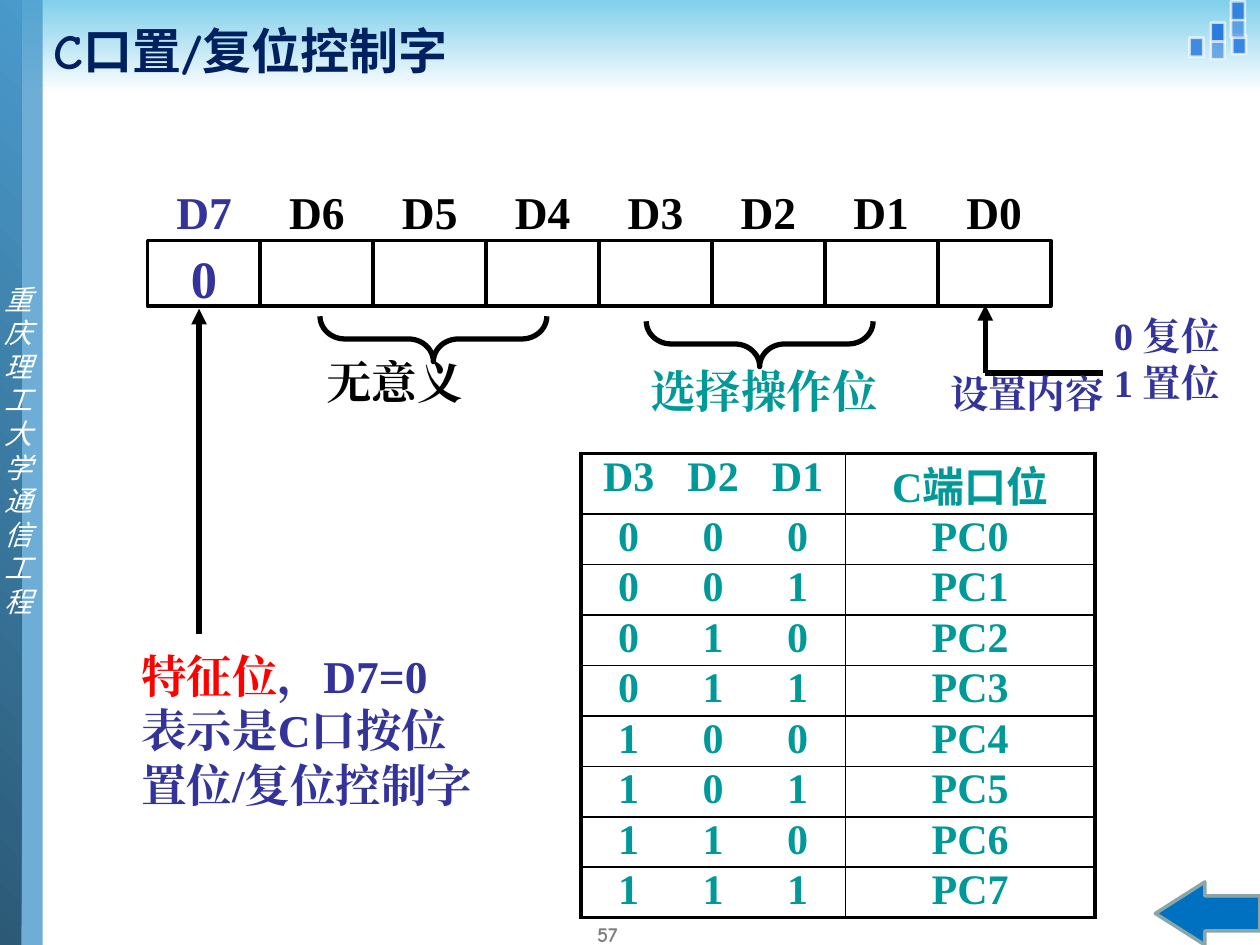
from pptx import Presentation
from pptx import util as u
from pptx.dml.color import RGBColor
from pptx.enum import shapes, text
from pptx.oxml.ns import qn
from lxml import etree

Inches = u.Inches
SERIF = "Times New Roman"
COLORS = {
    "black": "000000", "white": "FFFFFF", "navy": "002060", "indigo": "333399",
    "teal": "009999", "red": "FF0000", "gray": "7F7F7F", "sky": "81CFEB",
    "square": "297CDD", "side": "4A9ACC", "side_dark": "2B5976",
    "arrow": "0070C0", "arrow_line": "8AA6A8",
}
ALIGN = text.PP_ALIGN
SHAPE = shapes.MSO_SHAPE


def rgb(name):
    return RGBColor.from_string(COLORS[name])


def add_xml(parent, tag, **attributes):
    return etree.SubElement(parent, qn(tag), attributes)


def set_alpha(element, percent):
    """Make the colour of a fill or line translucent."""
    color = next(element.iter(qn("a:srgbClr")))
    add_xml(color, "a:alpha", val=str(percent * 1000))


def write(frame, paragraphs, size=26, font=SERIF, color="black", bold=True, italic=False,
          align=None, anchor="TOP", insets=(0, 0, 0, 0), spacing=None, east_asian=True):
    """Fill a frame; each paragraph is a string or a list of (string, color) runs."""
    frame.word_wrap = True
    frame.vertical_anchor = getattr(text.MSO_ANCHOR, anchor)
    (frame.margin_left, frame.margin_top,
     frame.margin_right, frame.margin_bottom) = map(Inches, insets)
    for index, content in enumerate(paragraphs):
        paragraph = frame.add_paragraph() if index else frame.paragraphs[0]
        paragraph.alignment = align
        if spacing:
            paragraph.line_spacing = spacing
        runs = [(content, color)] if isinstance(content, str) else content
        for words, run_color in runs:
            run = paragraph.add_run()
            run.text = words
            run.font.size, run.font.name = u.Pt(size), font
            run.font.bold, run.font.italic = bold, italic
            run.font.color.rgb = rgb(run_color)
            if east_asian:
                add_xml(run.font._element, "a:ea", typeface=font)


def add_text(slide, box, *paragraphs, **style):
    shape = slide.shapes.add_textbox(*map(Inches, box))
    write(shape.text_frame, paragraphs, **style)


def add_shape(slide, kind, box, fill=None, line=None, width=2, adjustments=()):
    shape = slide.shapes.add_shape(kind, *map(Inches, box))
    shape.shadow.inherit = False
    for index, value in enumerate(adjustments):
        shape.adjustments[index] = value
    if fill:
        shape.fill.solid()
        shape.fill.fore_color.rgb = rgb(fill)
    else:
        shape.fill.background()
    if line:
        shape.line.color.rgb = rgb(line)
        shape.line.width = u.Pt(width)
    else:
        shape.line.fill.background()
    return shape


def add_gradient(slide, box, first, last, angle):
    fill = add_shape(slide, SHAPE.RECTANGLE, box).fill
    fill.gradient()
    fill.gradient_angle = angle
    for stop, color, position in zip(fill.gradient_stops, (first, last), (0, 1)):
        stop.color.rgb = rgb(color)
        stop.position = position


def add_line(slide, start, end, arrow=False):
    line = slide.shapes.add_connector(
        shapes.MSO_CONNECTOR.STRAIGHT, *map(Inches, start + end))
    line.line.color.rgb = rgb("black")
    line.line.width = u.Pt(3)
    if arrow:
        add_xml(line.line._get_or_add_ln(), "a:tailEnd", type="triangle")
    add_xml(line._element.spPr, "a:effectLst")


def add_brace(slide, center_x, center_y, depth=0.36, span=1.8):
    brace = add_shape(slide, SHAPE.LEFT_BRACE,
                      (center_x - depth / 2, center_y - span / 2, depth, span),
                      line="black", width=3, adjustments=(0.55, 0.5))
    brace.rotation = 270


def set_borders(cell, widths):
    properties = cell._tc.get_or_add_tcPr()
    for index, (side, width) in enumerate(zip("LRTB", widths)):
        line = etree.Element(qn(f"a:ln{side}"), w=str(u.Pt(width)))
        add_xml(add_xml(line, "a:solidFill"), "a:srgbClr", val=COLORS["black"])
        properties.insert(index, line)


def add_port_table(slide):
    rows = [("D3\tD2\tD1", "C端口位")]
    rows += [("\t".join(f"{port:03b}"), f"PC{port}") for port in range(8)]
    table = slide.shapes.add_table(
        len(rows), 2, *map(Inches, (4.61, 3.6, 4.08, 3.44))).table
    table.first_row = table.horz_banding = False
    for column, width in zip(table.columns, (2.1, 1.98)):
        column.width = Inches(width)
    for r, row in enumerate(rows):
        table.rows[r].height = Inches(0.37 if r else 0.48)
        for c, words in enumerate(row):
            cell = table.cell(r, c)
            cell.fill.background()
            cell.margin_left = cell.margin_right = cell.margin_top = cell.margin_bottom = 0
            outer = (c == 0, c == 1, r == 0, r == len(rows) - 1)
            set_borders(cell, [2.25 if edge else 1 for edge in outer])
            if c == 0:
                # Centred tab stops line up the three bits
                words = "\t" + words
                tabs = add_xml(cell.text_frame.paragraphs[0]._p.get_or_add_pPr(), "a:tabLst")
                for position in (0.38, 1.05, 1.72):
                    add_xml(tabs, "a:tab", pos=str(Inches(position)), algn="ctr")
            write(cell.text_frame, [words], size=24, color="teal", east_asian=False,
                  align=ALIGN.CENTER if c else ALIGN.LEFT)


def add_background(slide):
    add_gradient(slide, (0, 0, 10, 0.75), "sky", "white", 270)
    squares = [(9.78, 0.28, 90), (9.61, 0.32, 60), (9.44, 0.3, 85),
               (9.61, 0.18, 100), (9.77, 0.15, 60), (9.77, 0.01, 90)]
    for left, top, opacity in squares:
        square = add_shape(slide, SHAPE.RECTANGLE, (left, top, 0.11, 0.15),
                           "square", "white", 1.5)
        set_alpha(square.fill._xPr.find(qn("a:solidFill")), opacity)
        set_alpha(square.line._get_or_add_ln(), 70)
    band = add_shape(slide, SHAPE.RECTANGLE, (0.11, 0, 0.23, 7.5), "side")
    set_alpha(band.fill._xPr.find(qn("a:solidFill")), 80)
    add_gradient(slide, (-0.01, 0, 0.18, 7.53), "side_dark", "side", 45)
    margins = (0.1, 0.05, 0.1, 0.05)
    add_text(slide, (-0.06, 2.19, 0.53, 2.79), "重庆理工大学通信工程", size=16, font="Arial",
             color="white", bold=False, italic=True, insets=margins)
    add_text(slide, (4.33, 7.33, 0.67, 0.17), "57", size=12, font="Comic Neue", color="gray",
             align=ALIGN.RIGHT, anchor="MIDDLE", insets=margins)
    add_text(slide, (0.33, 0.11, 8.43, 0.57), "C口置/复位控制字", size=28, font="Comic Neue",
             color="navy", anchor="MIDDLE", insets=margins)


def add_register(slide):
    for index in range(8):
        left = 1.17 + index * 6.27 / 7
        color = "black" if index else "indigo"
        cell = add_shape(slide, SHAPE.RECTANGLE, (left, 1.91, 0.9, 0.52), line="black")
        if index == 0:
            write(cell.text_frame, ["0"], size=30, color=color, align=ALIGN.CENTER,
                  insets=(0, 0.04, 0, 0))
        add_text(slide, (left, 1.38, 0.9, 0.64), f"D{7 - index}", color=color,
                 align=ALIGN.CENTER, insets=(0, 0.08, 0, 0))


def add_notes_on_bits(slide):
    style = dict(align=ALIGN.JUSTIFY, insets=(0.12, 0, 0, 0))
    # D0: set or reset
    add_text(slide, (8.72, 2.48, 1.28, 0.78), "0 复位", "1 置位",
             size=22, color="indigo", **style)
    add_line(slide, (7.82, 2.96), (7.82, 2.42), arrow=True)
    add_line(slide, (7.82, 2.96), (8.75, 2.96))
    add_text(slide, (7.42, 2.98, 1.5, 0.38), "设置内容", size=22, color="indigo",
             spacing=0.9, **style)
    # D7: feature bit
    add_line(slide, (1.58, 5.03), (1.58, 2.45), arrow=True)
    add_text(slide, (1, 5.14, 2.83, 1.77), [("特征位", "red"), ("，D7=0", "indigo")],
             "表示是C口按位", "置位/复位控制字", color="indigo", **style)
    # D6-D4 and D3-D1
    add_brace(slide, 3.44, 2.69)
    add_text(slide, (2.47, 2.81, 2.08, 0.38), "无意义", **style)
    add_brace(slide, 6.03, 2.73)
    add_text(slide, (5.04, 2.88, 2.45, 0.38), "选择操作位", color="teal", **style)


def main():
    presentation = Presentation()
    presentation.slide_width, presentation.slide_height = Inches(10), Inches(7.5)
    slide = presentation.slides.add_slide(presentation.slide_layouts[6])
    add_background(slide)
    add_register(slide)
    add_notes_on_bits(slide)
    add_port_table(slide)
    # Back button
    add_shape(slide, SHAPE.LEFT_ARROW, (9.17, 7, 0.83, 0.5), "arrow", "arrow_line",
              adjustments=(0.557, 0.786))
    presentation.save("out.pptx")


if __name__ == "__main__":
    main()
